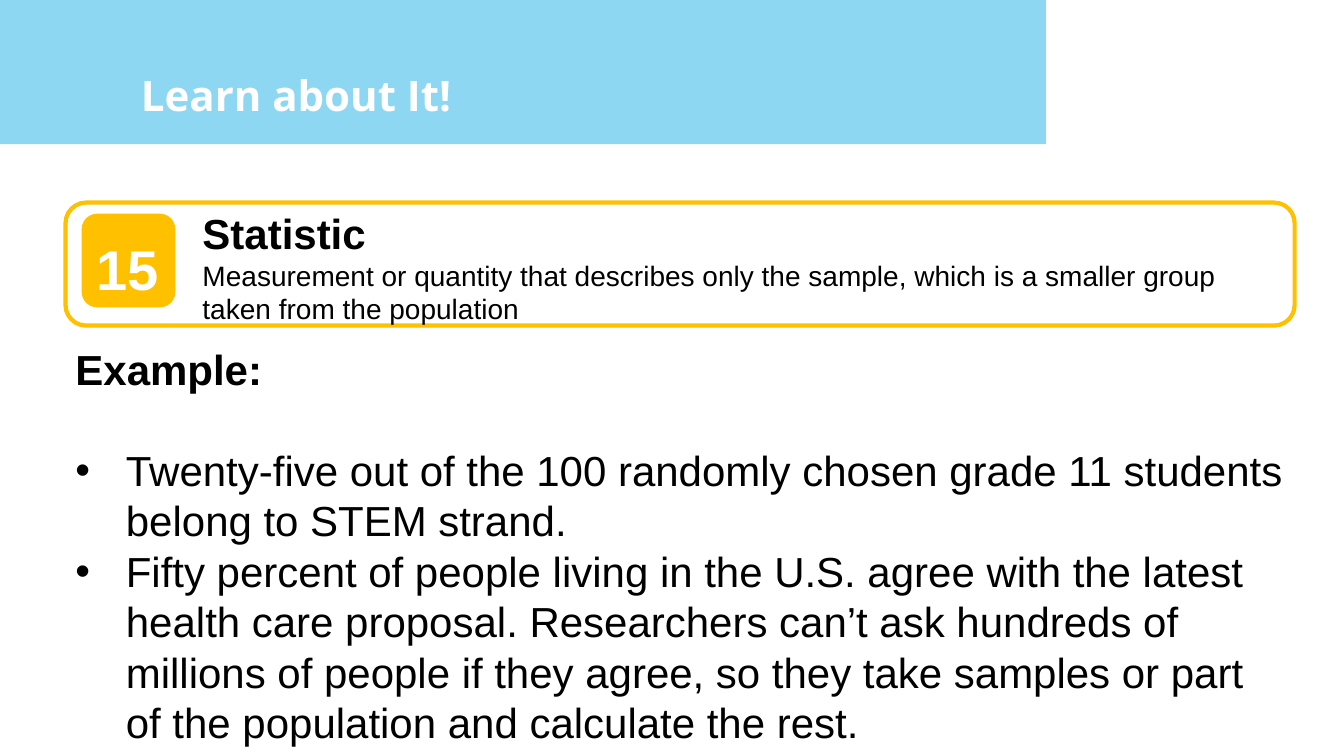
from lxml.etree import SubElement
from pptx import Presentation
from pptx.dml.color import RGBColor
from pptx.enum.shapes import MSO_SHAPE
from pptx.oxml.ns import qn
from pptx.util import Inches, Pt

SKY = RGBColor(0x8E, 0xD7, 0xF3)
AMBER = RGBColor(0xFF, 0xC0, 0x00)
WHITE = RGBColor(0xFF, 0xFF, 0xFF)
BLACK = RGBColor(0x00, 0x00, 0x00)


def write(p, text, size=30, bold=False, color=BLACK, font="Arial",
          leading=1.2, before=0, bullet=False):
    if leading:
        p.line_spacing = Pt(size * leading)
    p.space_before = Pt(before)
    if bullet:
        pPr = p._p.get_or_add_pPr()
        pPr.set("marL", str(Inches(0.5)))
        pPr.set("indent", str(-Inches(0.5)))
        SubElement(pPr, qn("a:buFont"), typeface="Arial")
        SubElement(pPr, qn("a:buChar"), char="•")
    r = p.add_run()
    r.text = text
    r.font.size = Pt(size)
    r.font.bold = bold
    r.font.name = font
    r.font.color.rgb = color


class SlideBuilder:
    def __init__(self, slide, inset=0.1):
        self.s = slide
        self.inset = Inches(inset)

    def shape(self, kind, left, top, width, height,
              fill=None, line=None, weight=1):
        sp = self.s.shapes.add_shape(
            kind, Inches(left), Inches(top), Inches(width), Inches(height))
        sp.shadow.inherit = False
        if fill is None:
            sp.fill.background()
        else:
            sp.fill.solid()
            sp.fill.fore_color.rgb = fill
        if line is None:
            sp.line.fill.background()
        else:
            sp.line.color.rgb = line
            sp.line.width = Pt(weight)
        return sp

    def text(self, left, top, width, height, *paragraphs):
        sp = self.s.shapes.add_textbox(
            Inches(left), Inches(top), Inches(width), Inches(height))
        tf = sp.text_frame
        tf.word_wrap = True
        tf.margin_left = tf.margin_right = self.inset
        tf.margin_top = tf.margin_bottom = self.inset
        for i, (text, style) in enumerate(paragraphs):
            p = tf.add_paragraph() if i else tf.paragraphs[0]
            write(p, text, **style)


def main():
    prs = Presentation()
    prs.slide_width = Inches(13.33)
    prs.slide_height = Inches(7.5)
    b = SlideBuilder(prs.slides.add_slide(prs.slide_layouts[6]))
    rect, rounded = MSO_SHAPE.RECTANGLE, MSO_SHAPE.ROUNDED_RECTANGLE

    b.shape(rect, 0, 0, 13.33, 1.43, fill=SKY)
    b.text(1.3, 0.59, 5.67, 0.95,
           ("Learn about It!", dict(bold=True, color=WHITE,
                                    font="Open Sans", leading=None)))

    b.shape(rounded, 0.65, 2.01, 12.19, 1.22, line=AMBER, weight=3)
    b.text(1.91, 1.96, 10.82, 1.22,
           ("Statistic", dict(bold=True)),
           ("Measurement or quantity that describes only the sample, "
            "which is a smaller group taken from the population",
            dict(size=20)))

    b.text(0.65, 3.31, 12.19, 3.15,
           ("Example:", dict(bold=True)),
           ("Twenty-five out of the 100 randomly chosen grade 11 students "
            "belong to STEM strand.", dict(bullet=True, before=36)),
           ("Fifty percent of people living in the U.S. agree with the "
            "latest health care proposal. Researchers can’t ask hundreds of "
            "millions of people if they agree, so they take samples or part "
            "of the population and calculate the rest.", dict(bullet=True)))

    b.shape(rounded, 0.81, 2.12, 0.93, 0.93, fill=AMBER)
    b.text(0.86, 2.23, 0.92, 0.74,
           ("15", dict(size=40, bold=True, color=WHITE)))

    b.shape(rect, 10.39, 0, 2.94, 1.46, fill=WHITE, line=WHITE, weight=2)
    prs.save("out.pptx")


if __name__ == "__main__":
    main()
